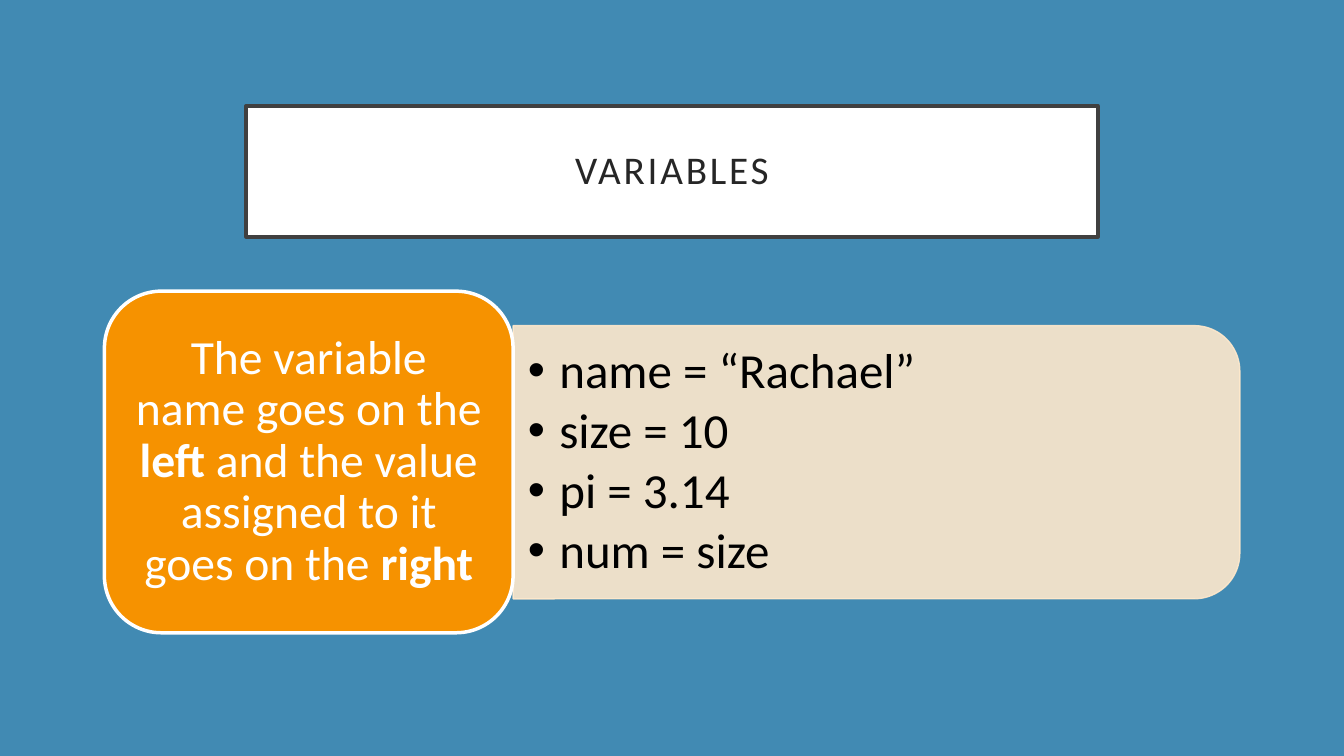
from lxml import etree
from pptx import Presentation
from pptx.dml.color import RGBColor
from pptx.enum.shapes import MSO_SHAPE
from pptx.enum.text import MSO_ANCHOR, MSO_AUTO_SIZE, PP_ALIGN
from pptx.oxml.ns import qn
from pptx.util import Pt

ROUND_RECT = MSO_SHAPE.ROUNDED_RECTANGLE
ROUND_TOP = MSO_SHAPE.ROUND_2_SAME_RECTANGLE
MIDDLE = MSO_ANCHOR.MIDDLE
NO_FIT = MSO_AUTO_SIZE.NONE
LEFT, CENTER = PP_ALIGN.LEFT, PP_ALIGN.CENTER

BLUE = RGBColor(0x41, 0x8A, 0xB3)
ORANGE = RGBColor(0xF6, 0x92, 0x00)
CREAM = RGBColor(0xFF, 0xE9, 0xCC)
WHITE = RGBColor(0xFF, 0xFF, 0xFF)
BLACK = RGBColor(0, 0, 0)
CHARCOAL = RGBColor(0x26, 0x26, 0x26)
GREY = RGBColor(0x40, 0x40, 0x40)

EXAMPLES = ["name = “Rachael”", "size = 10", "pi = 3.14", "num = size"]
RULE = [
    ("The variable name goes on the ", False),
    ("left", True),
    (" and the value assigned to it goes on the ", False),
    ("right", True),
]


def apply(target, values):
    for name, value in values.items():
        setattr(target, name, value)


class SlideBuilder:
    font_name = "Calibri"
    line_spacing = 0.9

    def __init__(self, deck, background):
        self.page = deck.slides.add_slide(deck.slide_layouts[5])
        fill = self.page.background.fill
        fill.solid()
        fill.fore_color.rgb = background

    def place(self, box, left, top, width, height):
        apply(box, {"left": Pt(left), "top": Pt(top),
                    "width": Pt(width), "height": Pt(height)})

    def paint(self, box, color, line_color, line_width, opacity=100):
        box.fill.solid()
        box.fill.fore_color.rgb = color
        box.line.color.rgb = line_color
        box.line.width = Pt(line_width)
        if opacity < 100:
            for tint in box._element.spPr.iter(qn("a:srgbClr")):
                etree.SubElement(tint, qn("a:alpha"), val=str(opacity * 1000))

    def fill_text(self, box, paragraphs, size, color, inset_x, inset_y,
                  align=CENTER, space_after=0, indent=0, tracking=0):
        frame = box.text_frame
        apply(frame, {"word_wrap": True, "auto_size": NO_FIT, "vertical_anchor": MIDDLE,
                      "margin_left": Pt(inset_x), "margin_right": Pt(inset_x),
                      "margin_top": Pt(inset_y), "margin_bottom": Pt(inset_y)})
        for index, spans in enumerate(paragraphs):
            para = frame.add_paragraph() if index else frame.paragraphs[0]
            if indent:
                properties = para._p.get_or_add_pPr()
                properties.set("marL", str(Pt(indent)))
                properties.set("indent", str(-Pt(indent)))
                etree.SubElement(properties, qn("a:buFont"), typeface="Arial")
                etree.SubElement(properties, qn("a:buChar"), char="•")
            apply(para, {"alignment": align, "line_spacing": self.line_spacing,
                         "space_before": Pt(0), "space_after": Pt(space_after)})
            for text, bold in spans:
                span = para.add_run()
                span.text = text
                apply(span.font, {"name": self.font_name, "size": Pt(size), "bold": bold})
                span.font.color.rgb = color
                if tracking:
                    span._r.get_or_add_rPr().set("spc", str(tracking * 100))

    def title(self, text, bounds):
        box = self.page.shapes.title
        self.place(box, *bounds)
        self.paint(box, WHITE, GREY, 2.5)
        self.fill_text(box, [[(text, False)]], 28, CHARCOAL, 14.4, 14.4, tracking=2)

    def shape(self, kind, bounds, color, line_color, line_width, opacity=100, rotation=0):
        box = self.page.shapes.add_shape(kind, *map(Pt, bounds))
        box.shadow.inherit = False
        box.rotation = rotation
        self.paint(box, color, line_color, line_width, opacity)
        return box

    def bullets(self, lines, bounds):
        box = self.page.shapes.add_textbox(*map(Pt, bounds))
        self.fill_text(box, [[(line, False)] for line in lines], 35, BLACK, 10.5, 5.25,
                       align=LEFT, space_after=5, indent=22.5)


def main():
    deck = Presentation()
    deck.slide_width, deck.slide_height = Pt(960), Pt(540)
    builder = SlideBuilder(deck, BLUE)
    builder.title("VARIABLES", (175.8, 75.6, 608.4, 93.6))
    builder.shape(ROUND_TOP, (528.5, 70.6, 195.1, 519.1), CREAM, CREAM, 1,
                  opacity=90, rotation=90)
    builder.bullets(EXAMPLES, (366.5, 242, 509.8, 176.4))
    card = builder.shape(ROUND_RECT, (74.6, 208, 291.9, 244), ORANGE, WHITE, 2.5)
    builder.fill_text(card, [RULE], 34, WHITE, 10, 5)
    deck.save("out.pptx")


if __name__ == "__main__":
    main()
